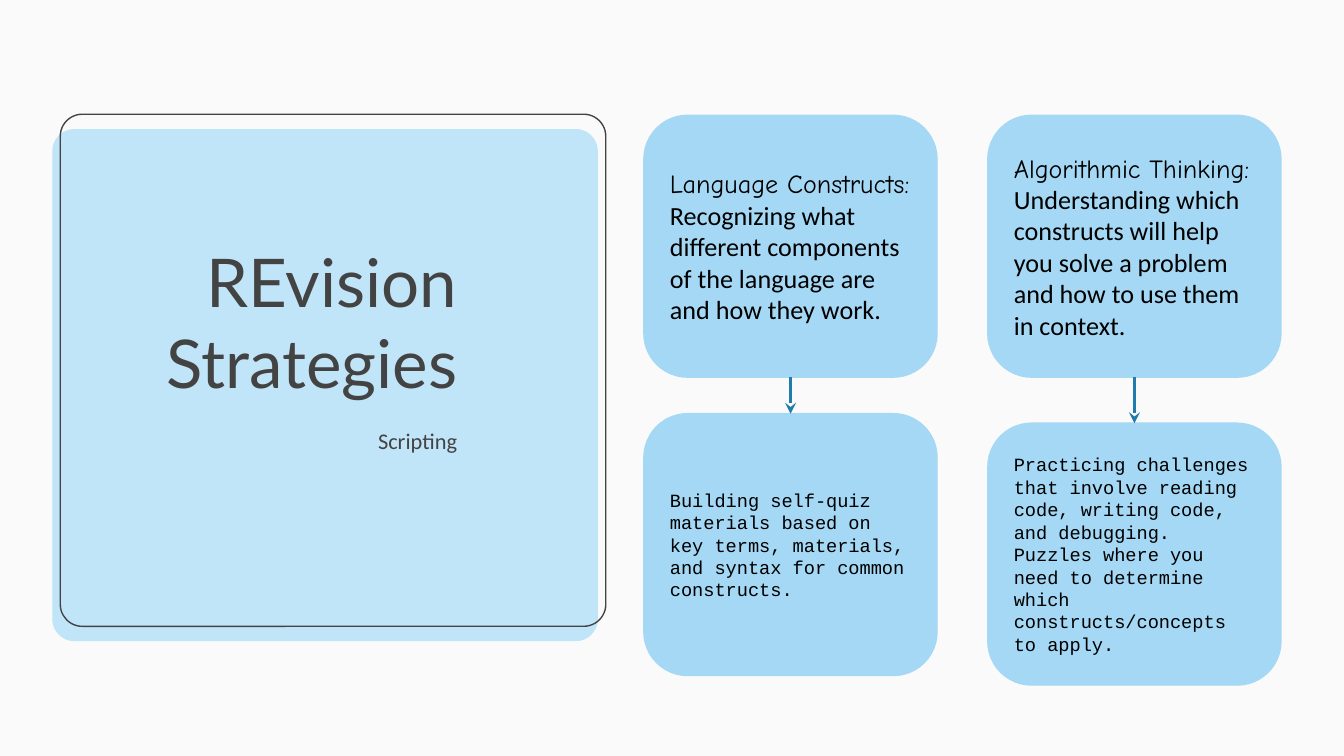
from lxml import etree
from pptx import Presentation
from pptx import util as u
from pptx.dml.color import RGBColor
from pptx.enum import shapes, text
from pptx.oxml.ns import qn

PAPER = RGBColor(0xFA, 0xFA, 0xFA)
PANEL = RGBColor(0xC1, 0xE5, 0xF8)
CARD = RGBColor(0xA4, 0xD8, 0xF4)
ARROW = RGBColor(0x21, 0x7B, 0xAC)
INK = RGBColor(0x43, 0x43, 0x43)
BLACK = RGBColor(0, 0, 0)

CARD_W, CARD_H, CARD_TOP = 5.54, 4.95, 2.18

# Left edge, top of the lower card, heading, explanation, practice
STRATEGIES = [
    (12.17, 7.82, "Language Constructs: ",
     "Recognizing what different components of the language are "
     "and how they work.",
     "Building self-quiz materials based on key terms, materials, "
     "and syntax for common constructs."),
    (18.67, 8, "Algorithmic Thinking: ",
     "Understanding which constructs will help you solve a problem "
     "and how to use them in context.",
     "Practicing challenges that involve reading code, writing code, "
     "and debugging. Puzzles where you need to determine which "
     "constructs/concepts to apply."),
]


class Deck:
    def __init__(self, prs):
        self.s = prs.slides.add_slide(prs.slide_layouts[0])
        self.s.background.fill.solid()
        self.s.background.fill.fore_color.rgb = PAPER

    def add_runs(self, sp, runs, align, anchor):
        """Fill a shape with one paragraph of (text, font, size, colour) runs."""
        tf = sp.text_frame
        tf.word_wrap = True
        tf.auto_size = text.MSO_AUTO_SIZE.NONE
        tf.vertical_anchor = anchor
        tf.margin_left = tf.margin_right = u.Cm(0.25)
        tf.margin_top = tf.margin_bottom = u.Cm(0.25)
        p = tf.paragraphs[0]
        p.alignment = align
        p.space_before = u.Pt(0)
        for content, font, size, color in runs:
            r = p.add_run()
            r.text = content
            r.font.name = font
            r.font.size = u.Pt(size)
            r.font.color.rgb = color

    def box(self, x, y, w, h, fill=None, line=None, corner=0.167):
        sp = self.s.shapes.add_shape(
            shapes.MSO_SHAPE.ROUNDED_RECTANGLE,
            u.Cm(x), u.Cm(y), u.Cm(w), u.Cm(h))
        sp.shadow.inherit = False
        sp.adjustments[0] = corner
        if fill is None:
            sp.fill.background()
        else:
            sp.fill.solid()
            sp.fill.fore_color.rgb = fill
        if line is None:
            sp.line.fill.background()
        else:
            sp.line.color.rgb = line
            sp.line.width = u.Pt(0.75)
        return sp

    def card(self, x, y, runs):
        sp = self.box(x, y, CARD_W, CARD_H, CARD, CARD)
        self.add_runs(sp, runs, text.PP_ALIGN.LEFT, text.MSO_ANCHOR.MIDDLE)

    def heading(self, index, y, run, anchor):
        """Place a template placeholder in front of the panel."""
        sp = self.s.placeholders[index]
        sp.left, sp.top, sp.width, sp.height = map(u.Cm, (2.46, y, 6.43, 3.07))
        self.add_runs(sp, [run], text.PP_ALIGN.RIGHT, anchor)
        self.s.shapes.element.append(sp.element)

    def arrow(self, x, top, bottom):
        line = self.s.shapes.add_connector(
            shapes.MSO_CONNECTOR.STRAIGHT,
            u.Cm(x), u.Cm(top), u.Cm(x), u.Cm(bottom))
        line.line.color.rgb = ARROW
        line.line.width = u.Pt(1.5)
        props = line.element.spPr
        etree.SubElement(props.find(qn("a:ln")), qn("a:tailEnd"),
                         type="stealth")
        etree.SubElement(props, qn("a:effectLst"))


def main():
    prs = Presentation()
    prs.slide_width, prs.slide_height = u.Cm(25.4), u.Cm(14.29)
    deck = Deck(prs)

    deck.box(0.99, 2.44, 10.31, 9.68, fill=PANEL, corner=0.043)
    deck.box(1.14, 2.16, 10.31, 9.68, line=INK, corner=0.043)
    deck.heading(0, 4.78, ("REvision Strategies", "Lato", 36, INK),
                 text.MSO_ANCHOR.BOTTOM)
    deck.heading(1, 7.82, ("Scripting", "Calibri", 12, INK),
                 text.MSO_ANCHOR.TOP)

    for x, lower_top, name, meaning, practice in STRATEGIES:
        deck.card(x, CARD_TOP, [(name, "Comic Neue", 14, BLACK),
                                (meaning, "Calibri", 14, BLACK)])
        deck.card(x, lower_top, [(practice, "Courier New", 10, BLACK)])
        deck.arrow(x + CARD_W / 2, CARD_TOP + CARD_H, lower_top)

    prs.save("out.pptx")


if __name__ == "__main__":
    main()
